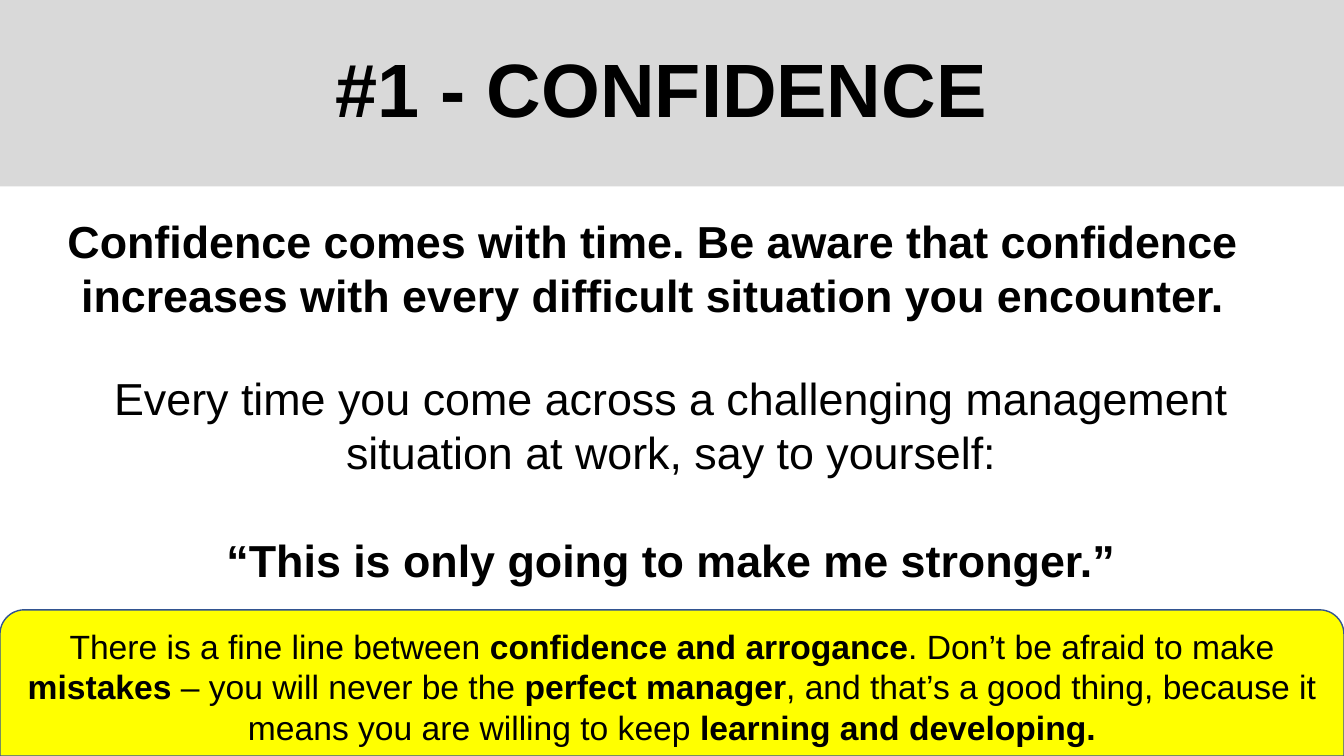
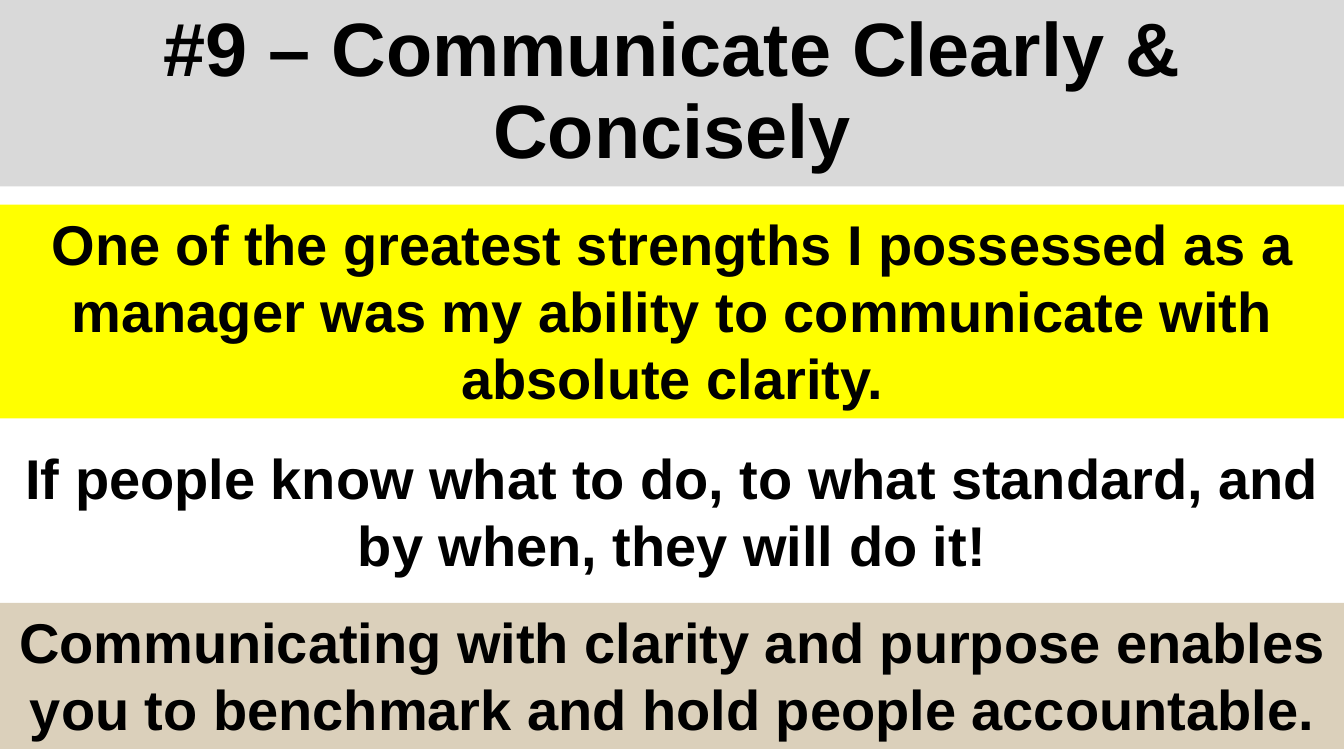
import dataclasses

import pptx
import pptx.dml.color
import pptx.enum.shapes
import pptx.enum.text
import pptx.util

PX = 9144  # EMU per px, 100 px to the inch
SLIDE_W, SLIDE_H = 1333, 750
SHAPES = pptx.enum.shapes.MSO_SHAPE
ANCHOR = pptx.enum.text.MSO_ANCHOR


@dataclasses.dataclass(frozen=True)
class Theme:
    font: str = "Arial"
    ink: str = "000000"
    title_band: str = "D9D9D9"
    highlight: str = "FFFF00"
    sand: str = "DBD0BB"
    outline: str = "325491"
    title_size: int = 54
    statement_size: int = 40
    body_size: int = 32
    note_size: int = 24
    paragraph_gap: float = 38.5


THEME = Theme()


def rgb(value):
    return pptx.dml.color.RGBColor.from_string(value)


def box(left, top, width, height):
    return [pptx.util.Emu(length * PX) for length in (left, top, width, height)]


def write(shape, paragraphs, size, anchor=ANCHOR.TOP, line_spacing=None):
    """Fill a shape with centred paragraphs; text between ** marks is bold."""
    frame = shape.text_frame
    frame.word_wrap = True
    frame.vertical_anchor = anchor
    for index, marked in enumerate(paragraphs):
        paragraph = frame.add_paragraph() if index else frame.paragraphs[0]
        paragraph.alignment = pptx.enum.text.PP_ALIGN.CENTER
        if line_spacing:
            paragraph.line_spacing = line_spacing
        if index:
            paragraph.space_before = pptx.util.Pt(THEME.paragraph_gap)
        for part, words in enumerate(marked.split("**")):
            if not words:
                continue
            run = paragraph.add_run()
            run.text = words
            run.font.name = THEME.font
            run.font.size = pptx.util.Pt(size)
            run.font.bold = part % 2 == 1
            run.font.color.rgb = rgb(THEME.ink)


def add_text(slide, area, paragraphs, size):
    write(slide.shapes.add_textbox(*box(*area)), paragraphs, size)


def add_band(slide, top, height, fill, text, size, kind=SHAPES.RECTANGLE,
             outline=None, anchor=ANCHOR.TOP, line_spacing=None):
    """Add a filled band across the full slide width."""
    band = slide.shapes.add_shape(kind, *box(0, top, SLIDE_W, height))
    band.shadow.inherit = False
    band.fill.solid()
    band.fill.fore_color.rgb = rgb(fill)
    if outline:
        band.line.color.rgb = rgb(outline)
        band.line.width = pptx.util.Pt(1)
    else:
        band.line.fill.background()
    write(band, [text], size, anchor, line_spacing)


def add_titled_slide(deck, title):
    slide = deck.slides.add_slide(deck.slide_layouts[6])
    add_band(slide, 0, 185, THEME.title_band, f"**{title}**", THEME.title_size,
             anchor=ANCHOR.MIDDLE, line_spacing=0.9)
    return slide


def build_confidence(deck):
    slide = add_titled_slide(deck, "#1 - CONFIDENCE ")
    # Lead statement and advice
    add_text(slide, (31, 207, 1234, 118), [
        "**Confidence comes with time. Be aware that confidence increases "
        "with every difficult situation you encounter.**",
    ], THEME.body_size)
    add_text(slide, (49, 363, 1234, 226), [
        "Every time you come across a challenging management situation at "
        "work, say to yourself:",
        "**“This is only going to make me stronger.”**",
    ], THEME.body_size)
    # Closing note
    add_band(slide, 605, 145, THEME.highlight,
             "There is a fine line between **confidence and arrogance**. "
             "Don’t be afraid to make **mistakes** – you will never be the "
             "**perfect manager**, and that’s a good thing, because it means "
             "you are willing to keep **learning and developing.**",
             THEME.note_size, kind=SHAPES.ROUND_2_SAME_RECTANGLE,
             outline=THEME.outline, anchor=ANCHOR.MIDDLE)


def build_communication(deck):
    slide = add_titled_slide(deck, "#9 – Communicate Clearly & Concisely")
    # Three stacked statements
    add_band(slide, 203, 212, THEME.highlight,
             "**One of the greatest strengths I possessed as a manager was my "
             "ability to communicate with absolute clarity.**",
             THEME.statement_size)
    add_text(slide, (0, 435, SLIDE_W, 145), [
        "**If people know what to do, to what standard, and by when, they "
        "will do it!**",
    ], THEME.statement_size)
    add_band(slide, 598, 145, THEME.sand,
             "**Communicating with clarity and purpose enables you to "
             "benchmark and hold people accountable.**",
             THEME.statement_size)


def main():
    deck = pptx.Presentation()
    deck.slide_width = pptx.util.Emu(SLIDE_W * PX)
    deck.slide_height = pptx.util.Emu(SLIDE_H * PX)
    build_confidence(deck)
    build_communication(deck)
    deck.save("out.pptx")


if __name__ == "__main__":
    main()
